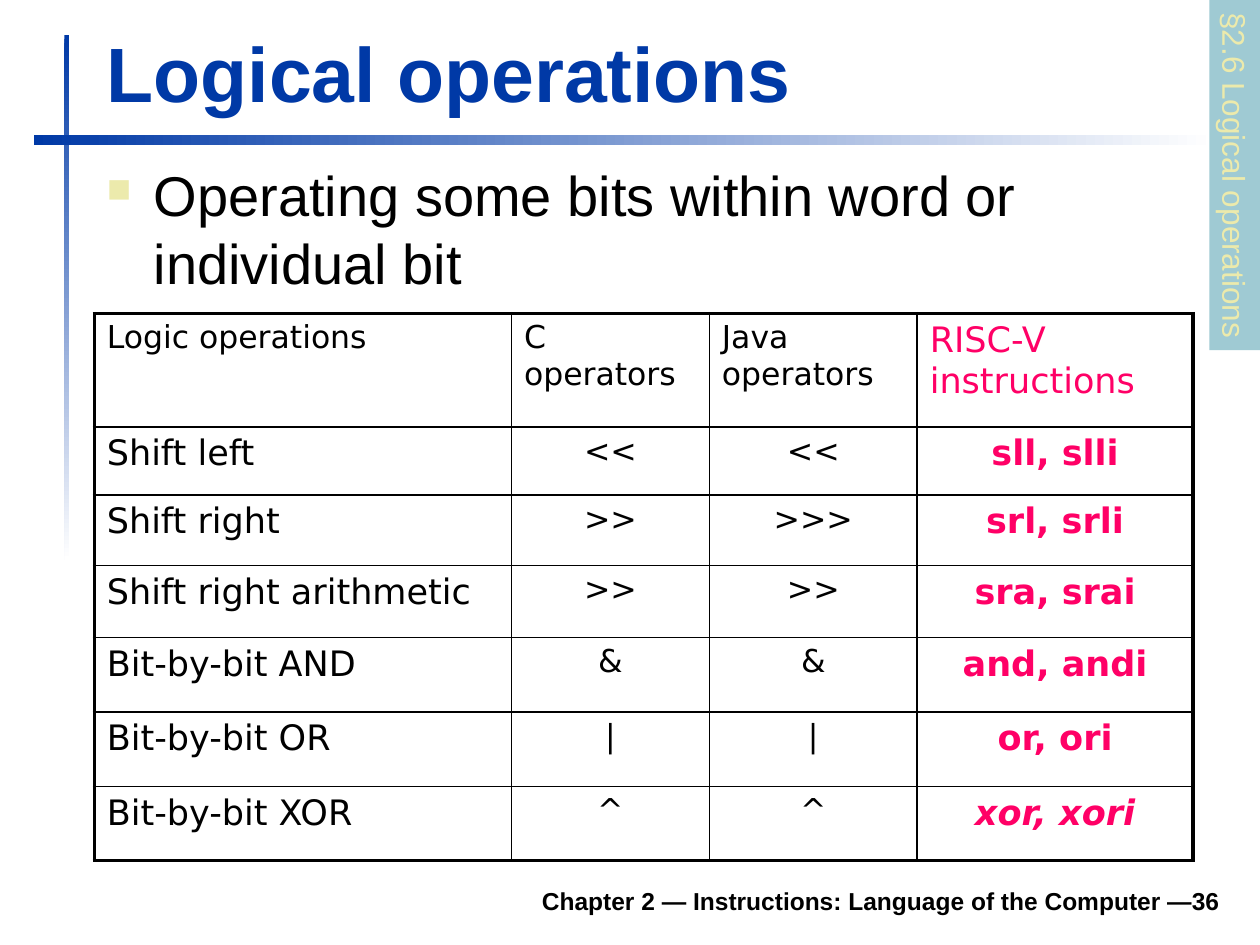
"""Build the slide on logical operations and their operators."""
from dataclasses import dataclass

from lxml import etree
from pptx import Presentation
from pptx.dml.color import RGBColor
from pptx.enum import shapes, text
from pptx.oxml import ns
from pptx.util import Cm, Pt

BLUE, SAND, TEAL = "0039A6", "ECEAAC", "9FCAD3"
PINK, BLACK, WHITE = "FF0066", "000000", "FFFFFF"
SANS, TABLE_FONT = "Arial", "DejaVu Sans"
COLUMNS = (8.41, 3.99, 4.19, 5.56)
ROWS = (2.29, 1.37, 1.42, 1.45, 1.5, 1.5, 1.5)
OPERATIONS = (
    ("Logic operations", "C operators", "Java operators", "RISC-V instructions"),
    ("Shift left", "<<", "<<", "sll, slli"),
    ("Shift right", ">>", ">>>", "srl, srli"),
    ("Shift right arithmetic", ">>", ">>", "sra, srai"),
    ("Bit-by-bit AND", "&", "&", "and, andi"),
    ("Bit-by-bit OR", "|", "|", "or, ori"),
    ("Bit-by-bit XOR", "^", "^", "xor, xori"),
)


@dataclass
class Box:
    left: float
    top: float
    width: float
    height: float

    def lengths(self) -> tuple:
        return Cm(self.left), Cm(self.top), Cm(self.width), Cm(self.height)


@dataclass
class Style:
    size: float
    color: str = BLACK
    font: str = SANS
    bold: bool = False
    italic: bool = False


@dataclass
class Rule:
    box: Box
    angle: int


RULES = (
    Rule(Box(1.3, 0.71, 0.1, 10.59), 270),
    Rule(Box(0.69, 2.72, 23.8, 0.2), 0),
)


def rgb(color: str) -> RGBColor:
    return RGBColor.from_string(color)


def add_run(paragraph, words: str, style: Style) -> None:
    run = paragraph.add_run()
    run.text = words
    font = run.font
    font.size, font.name = Pt(style.size), style.font
    font.bold, font.italic = style.bold, style.italic
    font.color.rgb = rgb(style.color)


def add_bar(slide, box: Box):
    bar = slide.shapes.add_shape(shapes.MSO_SHAPE.RECTANGLE, *box.lengths())
    bar.shadow.inherit = False
    bar.line.fill.background()
    return bar


def draw_rule(slide, rule: Rule) -> None:
    fill = add_bar(slide, rule.box).fill
    fill.gradient()
    fill.gradient_angle = rule.angle
    for stop, color in zip(fill.gradient_stops, (BLUE, WHITE)):
        stop.color.rgb = rgb(color)


def draw_title(slide) -> None:
    title = slide.shapes.title
    title.left, title.top, title.width, title.height = Box(1.9, 0.38, 22.94, 2.13).lengths()
    frame = title.text_frame
    frame.vertical_anchor = text.MSO_ANCHOR.BOTTOM
    frame.paragraphs[0].alignment = text.PP_ALIGN.LEFT
    add_run(frame.paragraphs[0], "Logical operations", Style(44, BLUE, bold=True))


def add_text(slide, box: Box):
    frame = slide.shapes.add_textbox(*box.lengths()).text_frame
    frame.word_wrap = True
    return frame


def draw_body(slide) -> None:
    paragraph = add_text(slide, Box(1.9, 3.12, 22.99, 14.2)).paragraphs[0]
    properties = paragraph._p.get_or_add_pPr()
    properties.set("marL", str(Cm(0.95)))
    properties.set("indent", str(-Cm(0.95)))
    bullet_color = etree.SubElement(properties, ns.qn("a:buClr"))
    etree.SubElement(bullet_color, ns.qn("a:srgbClr"), val=SAND)
    etree.SubElement(properties, ns.qn("a:buSzPct"), val="60000")
    etree.SubElement(properties, ns.qn("a:buChar"), char="■")
    add_run(paragraph, "Operating some bits within word or individual bit", Style(32))


def draw_footer(slide) -> None:
    frame = add_text(slide, Box(7.32, 17.65, 17.53, 1.02))
    frame.vertical_anchor = text.MSO_ANCHOR.MIDDLE
    frame.paragraphs[0].alignment = text.PP_ALIGN.RIGHT
    words = "Chapter 2 — Instructions: Language of the Computer —36"
    add_run(frame.paragraphs[0], words, Style(14, bold=True))


def draw_section_tab(slide) -> None:
    tab = add_bar(slide, Box(21.36, 3.02, 7.06, 1.02))
    tab.rotation = 90
    tab.fill.solid()
    tab.fill.fore_color.rgb = rgb(TEAL)
    frame = tab.text_frame
    frame.word_wrap = True
    frame.auto_size = text.MSO_AUTO_SIZE.NONE
    frame.margin_right = 0
    frame.vertical_anchor = text.MSO_ANCHOR.TOP
    frame.paragraphs[0].alignment = text.PP_ALIGN.LEFT
    add_run(frame.paragraphs[0], "§2.6 Logical operations", Style(18, SAND))


def set_borders(cell, row: int, column: int) -> None:
    outer = {
        "lnL": column == 0,
        "lnR": column == len(COLUMNS) - 1,
        "lnT": row == 0,
        "lnB": row == len(ROWS) - 1,
    }
    properties = cell._tc.get_or_add_tcPr()
    for side, is_outer in outer.items():
        width = Pt(2.25 if is_outer else 1)
        line = etree.SubElement(properties, ns.qn(f"a:{side}"), w=str(width))
        fill = etree.SubElement(line, ns.qn("a:solidFill"))
        etree.SubElement(fill, ns.qn("a:srgbClr"), val=BLACK)


def cell_style(row: int, column: int) -> Style:
    if column == len(COLUMNS) - 1:
        return Style(20, PINK, TABLE_FONT, row > 0, row == len(ROWS) - 1)
    return Style(20 if column == 0 and row > 0 else 18, BLACK, TABLE_FONT)


def draw_table(slide) -> None:
    box = Box(1.9, 6.32, sum(COLUMNS), sum(ROWS))
    table = slide.shapes.add_table(len(ROWS), len(COLUMNS), *box.lengths()).table
    table.first_row = table.horz_banding = False
    for column, width in zip(table.columns, COLUMNS):
        column.width = Cm(width)
    for row, height in zip(table.rows, ROWS):
        row.height = Cm(height)
    for row, entries in enumerate(OPERATIONS):
        for column, words in enumerate(entries):
            cell = table.cell(row, column)
            set_borders(cell, row, column)
            cell.fill.background()
            paragraph = cell.text_frame.paragraphs[0]
            if row and column:
                paragraph.alignment = text.PP_ALIGN.CENTER
            add_run(paragraph, words, cell_style(row, column))


def main() -> None:
    deck = Presentation()
    deck.slide_width, deck.slide_height = Cm(25.4), Cm(19.05)
    slide = deck.slides.add_slide(deck.slide_layouts[5])
    for rule in RULES:
        draw_rule(slide, rule)
    draw_title(slide)
    draw_body(slide)
    draw_table(slide)
    draw_section_tab(slide)
    draw_footer(slide)
    deck.save("out.pptx")


if __name__ == "__main__":
    main()
